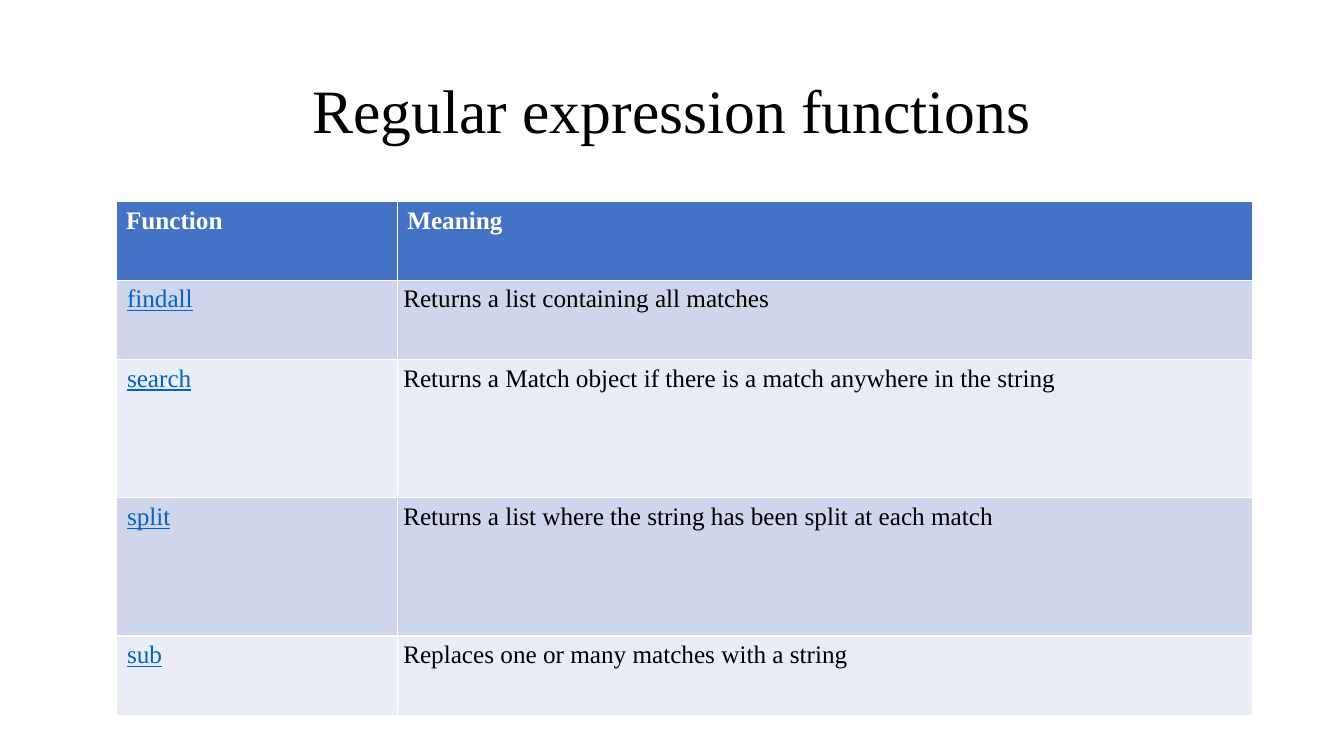
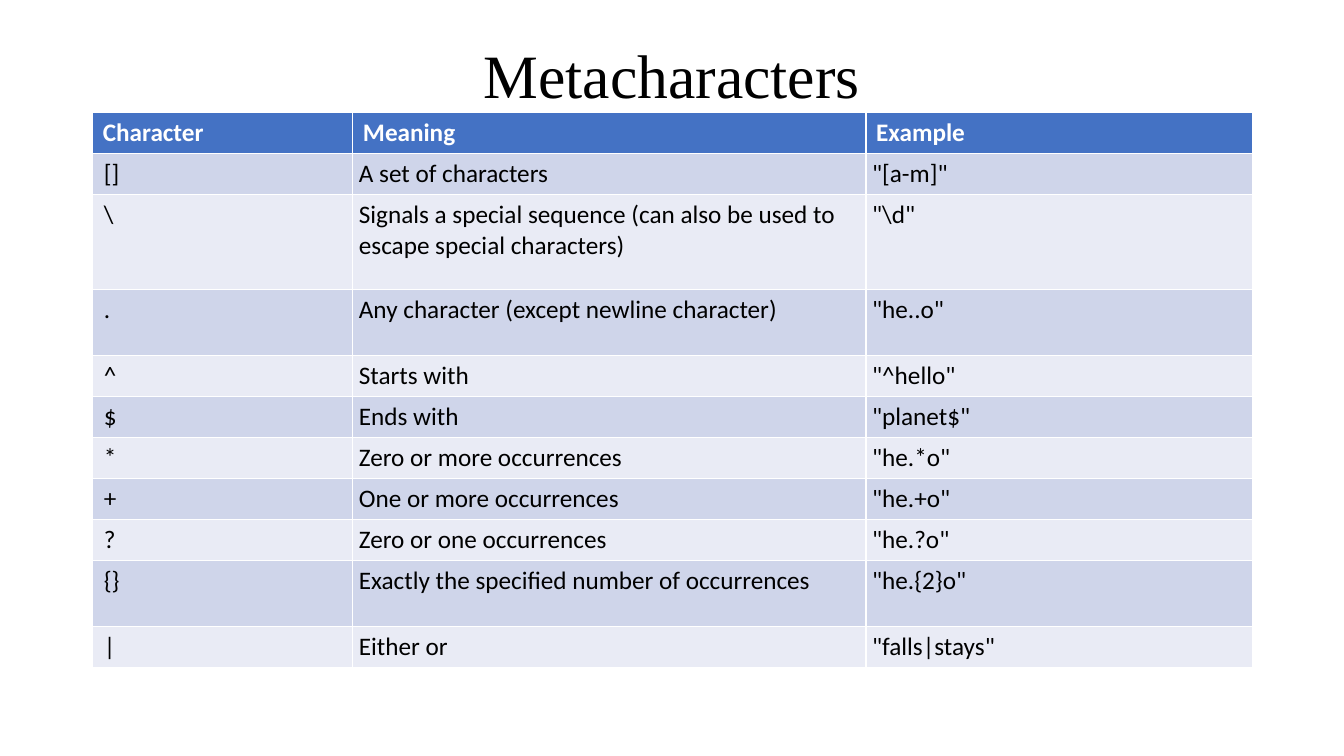
from dataclasses import dataclass

from pptx import Presentation
from pptx.dml.color import RGBColor
from pptx.enum.text import MSO_ANCHOR, MSO_AUTO_SIZE, PP_ALIGN
from pptx.util import Inches, Pt

CENTER = PP_ALIGN.CENTER
TOP, MIDDLE = MSO_ANCHOR.TOP, MSO_ANCHOR.MIDDLE
NO_AUTOFIT = MSO_AUTO_SIZE.NONE
TITLE_ONLY = 5


@dataclass(frozen=True)
class Theme:
    title_font: str = "Times New Roman"
    title_size: int = 44
    table_size: int = 18
    text: str = "000000"
    header_text: str = "FFFFFF"
    link: str = "0563C1"
    header_fill: str = "4472C4"
    bands: tuple = ("CFD5EA", "E9EBF5")


THEME = Theme()
WIDTH, HEIGHT = Inches(13.33), Inches(7.5)
MARGIN = Inches(0.92)
TITLE_TOP, TITLE_HEIGHT = Inches(0.4), Inches(1.45)
FIRST_INSET, INSET = Inches(0.11), Inches(0.06)

SLIDES = [
    {
        "title": "Regular expression functions",
        "anchor": MIDDLE,
        "font": "Times New Roman",
        "corner": (1.15, 2),
        "columns": (2.79, 8.48),
        "row_heights": (0.78, 0.79, 1.37, 1.37, 0.79),
        "linked": True,
        "rows": [
            ("Function", "Meaning"),
            ("findall", "Returns a list containing all matches"),
            ("search", "Returns a Match object if there is a match anywhere in the string"),
            ("split", "Returns a list where the string has been split at each match"),
            ("sub", "Replaces one or many matches with a string"),
        ],
    },
    {
        "title": "Metacharacters",
        "anchor": TOP,
        "font": "Calibri",
        "corner": (0.92, 1.12),
        "columns": (2.58, 5.09, 3.83),
        "row_heights": (0.38, 0.38, 0.94, 0.66, *[0.38] * 5, 0.66, 0.38),
        "linked": False,
        "rows": [
            ("Character", "Meaning", "Example"),
            ("[]", "A set of characters", '"[a-m]"'),
            ("\\", "Signals a special sequence (can also be used to escape special characters)", '"\\d"'),
            (".", "Any character (except newline character)", '"he..o"'),
            ("^", "Starts with", '"^hello"'),
            ("$", "Ends with", '"planet$"'),
            ("*", "Zero or more occurrences", '"he.*o"'),
            ("+", "One or more occurrences", '"he.+o"'),
            ("?", "Zero or one occurrences", '"he.?o"'),
            ("{}", "Exactly the specified number of occurrences", '"he.{2}o"'),
            ("|", "Either or", '"falls|stays"'),
        ],
    },
]


def set_font(paragraph, name, size, color):
    font = paragraph.font
    font.name, font.size = name, Pt(size)
    font.color.rgb = RGBColor.from_string(color)


presentation = Presentation()
presentation.slide_width, presentation.slide_height = WIDTH, HEIGHT

for content in SLIDES:
    slide = presentation.slides.add_slide(presentation.slide_layouts[TITLE_ONLY])

    title = slide.shapes.title
    title.left, title.top = MARGIN, TITLE_TOP
    title.width, title.height = WIDTH - 2 * MARGIN, TITLE_HEIGHT
    title.text = content["title"]
    frame = title.text_frame
    frame.auto_size = NO_AUTOFIT
    frame.vertical_anchor = content["anchor"]
    paragraph = frame.paragraphs[0]
    paragraph.alignment = CENTER
    paragraph.line_spacing = 0.9
    set_font(paragraph, THEME.title_font, THEME.title_size, THEME.text)

    rows, columns, heights = content["rows"], content["columns"], content["row_heights"]
    left, top = content["corner"]
    # The default table style supplies the white grid and the heavy header rule.
    table = slide.shapes.add_table(
        len(rows), len(columns), Inches(left), Inches(top),
        Inches(sum(columns)), Inches(sum(heights)),
    ).table
    for column, width in zip(table.columns, columns):
        column.width = Inches(width)

    for row_index, (row, height, texts) in enumerate(zip(table.rows, heights, rows)):
        row.height = Inches(height)
        is_header = row_index == 0
        fill = THEME.header_fill if is_header else THEME.bands[(row_index - 1) % 2]
        for column_index, (cell, text) in enumerate(zip(row.cells, texts)):
            is_link = content["linked"] and column_index == 0 and not is_header
            cell.text = text
            cell.fill.solid()
            cell.fill.fore_color.rgb = RGBColor.from_string(fill)
            if not is_header:
                cell.margin_left = FIRST_INSET if column_index == 0 else INSET
                cell.margin_right = INSET
            color = THEME.header_text if is_header else THEME.link if is_link else THEME.text
            paragraph = cell.text_frame.paragraphs[0]
            set_font(paragraph, content["font"], THEME.table_size, color)
            paragraph.font.bold = is_header
            paragraph.font.underline = is_link

presentation.save("out.pptx")
